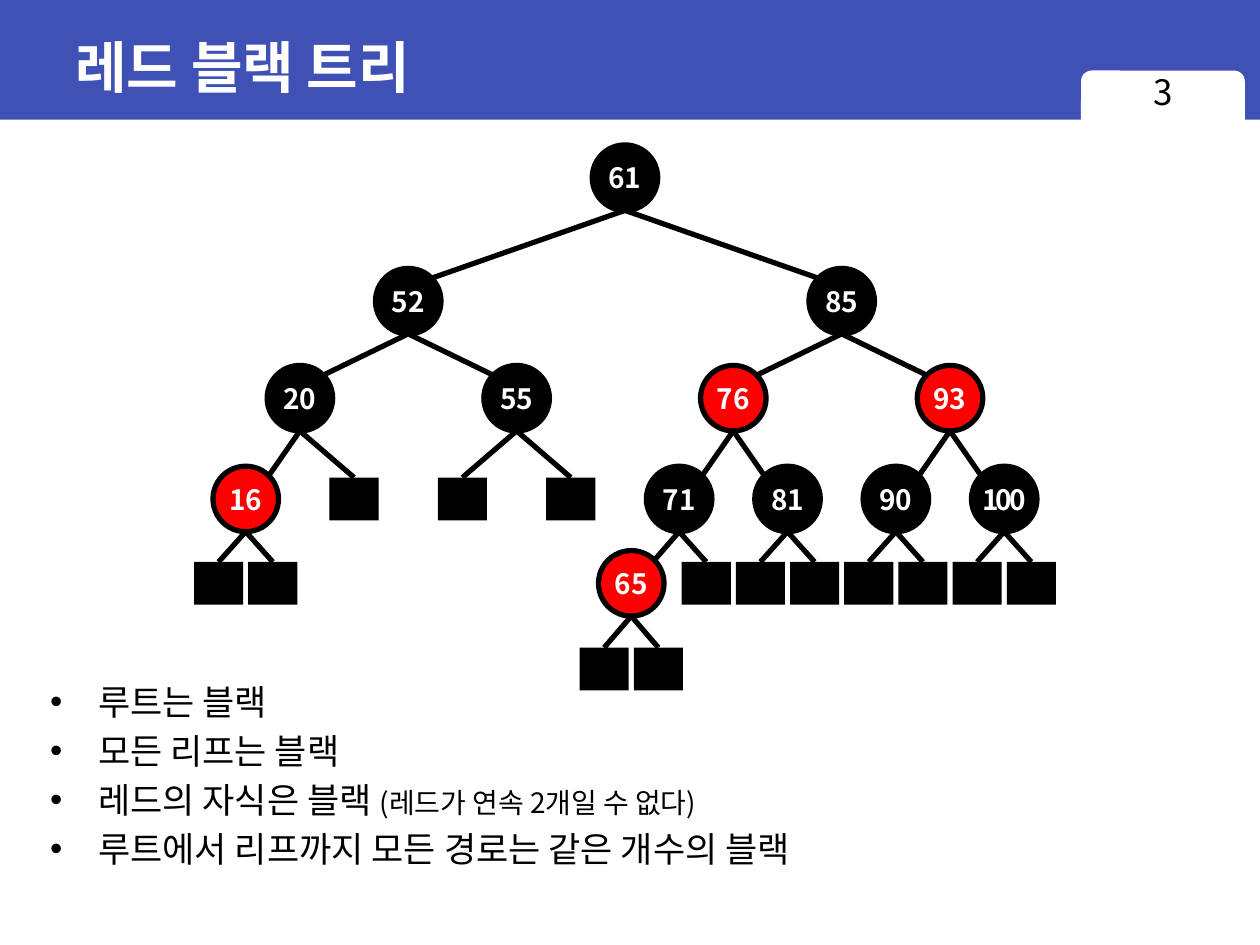
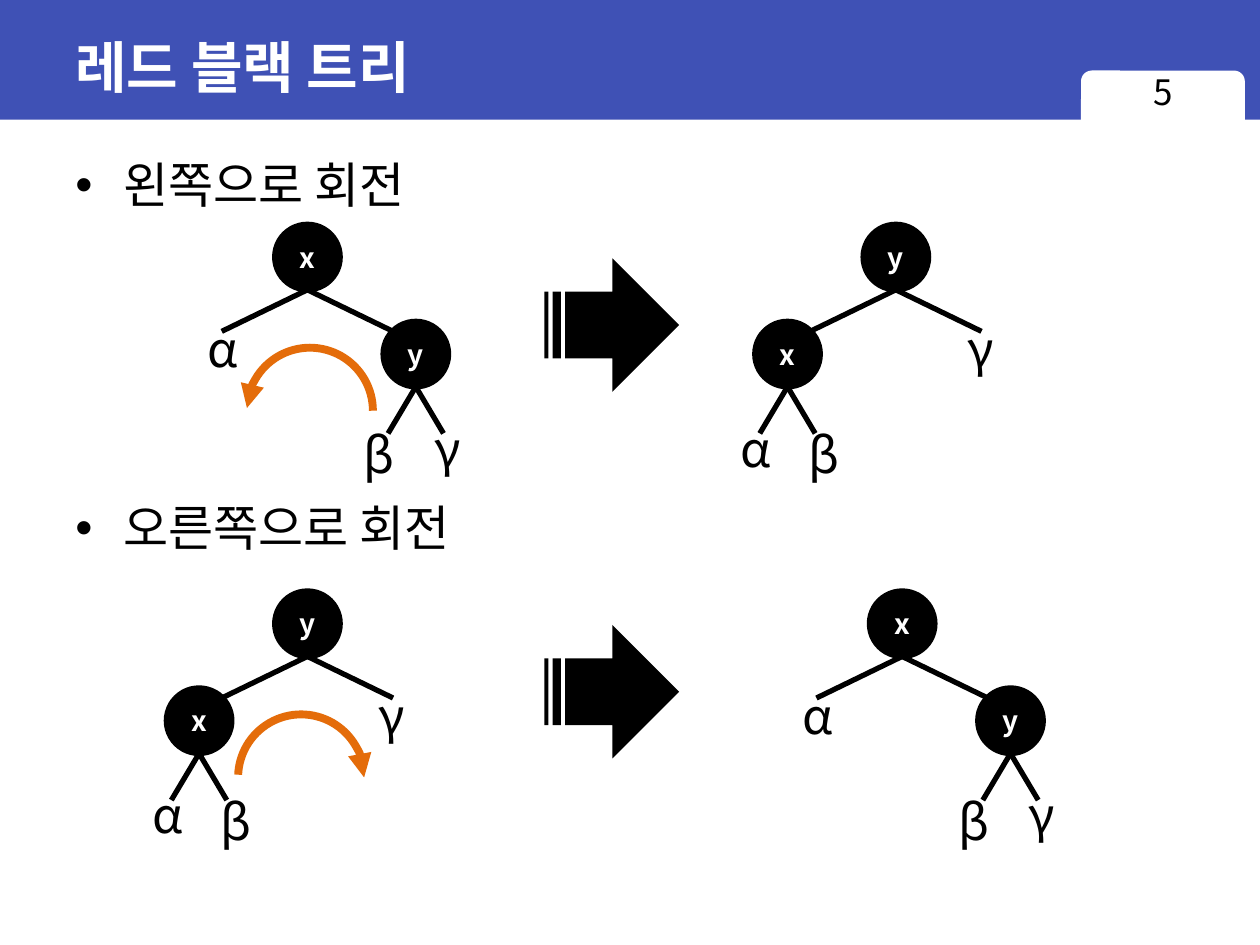
from lxml import etree
from pptx import Presentation, util as u
from pptx.dml.color import RGBColor
from pptx.enum import shapes, text
from pptx.oxml import ns

COLORS = {"band": "3F51B5", "white": "FFFFFF", "black": "000000",
          "red": "FF0000", "orange": "E46C0A"}
BODY_FONT, TITLE_FONT = "Noto Sans CJK KR", "Arial"
NODE, LEAF_WIDTH, LEAF_HEIGHT = 0.52, 0.39, 0.34
RIM = 0.18
LEVEL_Y = [0, 0.98, 1.75, 2.55, 3.22, 3.9]
LEVEL_SPREAD = [1.72, 0.86, 0.43, 0.215, 0.215]
NODE_SPREAD = 0.38


def color(name):
    """Return the named palette colour."""
    return RGBColor.from_string(COLORS[name])


def inches(*lengths):
    """Convert several lengths to inches."""
    return [u.Inches(length) for length in lengths]


def add_run(paragraph, words, size, shade="black", bold=False, font=BODY_FONT):
    """Add one formatted run and return it."""
    run = paragraph.add_run()
    run.text = words
    run.font.size = u.Pt(size)
    run.font.bold = bold
    run.font.color.rgb = color(shade)
    run.font.name = font
    properties = run.font._element
    etree.SubElement(properties, ns.qn("a:ea"), typeface=BODY_FONT)
    return run


def add_shape(slide, kind, box, fill, line=None):
    """Add a flat preset shape, outlined in three points if a line is named."""
    shape = slide.shapes.add_shape(kind, *inches(*box))
    shape.shadow.inherit = False
    shape.fill.solid()
    shape.fill.fore_color.rgb = color(fill)
    if line:
        shape.line.color.rgb = color(line)
        shape.line.width = u.Pt(3)
    else:
        shape.line.fill.background()
    return shape


def add_text_box(slide, box, wrap=True):
    """Add an empty text box and return its frame."""
    frame = slide.shapes.add_textbox(*inches(*box)).text_frame
    frame.word_wrap = wrap
    return frame


def add_edge(slide, start, end):
    """Draw a tree edge between two points."""
    line = slide.shapes.add_connector(shapes.MSO_CONNECTOR.STRAIGHT, *inches(*start, *end))
    line.line.color.rgb = color("black")
    line.line.width = u.Pt(3)
    etree.SubElement(line._element.spPr, ns.qn("a:effectLst"))


def add_node(slide, x, y, key, fill="black"):
    """Draw a round node centred on a point."""
    box = (x - NODE / 2, y - NODE / 2, NODE, NODE)
    node = add_shape(slide, shapes.MSO_SHAPE.OVAL, box, fill, "black")
    frame = node.text_frame
    frame.margin_left = frame.margin_right = 0
    frame.word_wrap = False
    frame.vertical_anchor = text.MSO_ANCHOR.MIDDLE
    paragraph = frame.paragraphs[0]
    paragraph.alignment = text.PP_ALIGN.CENTER
    run = add_run(paragraph, key, 16, "white", True)
    if len(key) > 2:
        run.font._element.set("spc", "-150")


def add_header(slide, number):
    """Draw the title band, its title and the page tab."""
    add_shape(slide, shapes.MSO_SHAPE.RECTANGLE, (0, 0, 10, 0.95), "band")
    add_shape(slide, shapes.MSO_SHAPE.ROUNDED_RECTANGLE, (8.58, 0.56, 1.3, 0.51), "white")
    title = add_text_box(slide, (0.5, 0.11, 9, 0.83))
    title.vertical_anchor = text.MSO_ANCHOR.MIDDLE
    add_run(title.paragraphs[0], "레드 블랙 트리", 32, "white", True, TITLE_FONT)
    page = add_text_box(slide, (8.58, 0.51, 1.31, 0.52)).paragraphs[0]
    page.alignment = text.PP_ALIGN.CENTER
    add_run(page, str(number), 20)


def add_bullets(slide, box, size, items, gap):
    """Write a bulleted list; each item is a list of (words, size) runs."""
    frame = add_text_box(slide, box)
    for index, item in enumerate(items):
        paragraph = frame.add_paragraph() if index else frame.paragraphs[0]
        paragraph.line_spacing = u.Pt(size * 1.2)
        paragraph.space_before = u.Pt(gap if index else 0)
        properties = paragraph._p.get_or_add_pPr()
        properties.set("marL", str(u.Inches(0.38)))
        properties.set("indent", str(-u.Inches(0.38)))
        etree.SubElement(properties, ns.qn("a:buFont"), typeface="Arial")
        etree.SubElement(properties, ns.qn("a:buChar"), char="•")
        for words, run_size in item:
            add_run(paragraph, words, run_size)


def add_tree(slide, x, top, tree, level=0):
    """Draw a red-black tree recursively; None stands for a leaf."""
    y = top + LEVEL_Y[level]
    if tree is None:
        box = (x - LEAF_WIDTH / 2, y - LEAF_HEIGHT / 2, LEAF_WIDTH, LEAF_HEIGHT)
        add_shape(slide, shapes.MSO_SHAPE.RECTANGLE, box, "black")
        return
    key, fill, *children = tree
    add_node(slide, x, y, key, fill)
    child_y = top + LEVEL_Y[level + 1]
    for side, child in zip((-1, 1), children):
        spread = LEVEL_SPREAD[level]
        end = (x + side * spread, child_y - LEAF_HEIGHT / 2)
        if child:
            spread = max(spread, NODE_SPREAD)
            end = (x + side * (spread - RIM), child_y - RIM)
        add_edge(slide, (x, y + NODE / 2), end)
        add_tree(slide, x + side * spread, top, child, level + 1)


def add_subtree_label(slide, x, y, name):
    """Write a Greek subtree name centred on x."""
    paragraph = add_text_box(slide, (x - 0.23, y, 0.46, 0.57), False).paragraphs[0]
    paragraph.alignment = text.PP_ALIGN.CENTER
    add_run(paragraph, name, 28)


def add_rotation_tree(slide, x, y, leans_right):
    """Draw the two-node tree whose lower node hangs right or left of the root."""
    side = 1 if leans_right else -1
    root, lower = ("x", "y") if leans_right else ("y", "x")
    outer, inner = ("α", "βγ") if leans_right else ("γ", "αβ")
    lower_x, lower_y = x + side * 0.86, y + 0.77
    add_node(slide, x, y, root)
    add_node(slide, lower_x, lower_y, lower)
    for direction in (-1, 1):
        add_edge(slide, (x, y + NODE / 2), (x + direction * 0.68, y + 0.59))
        add_edge(slide, (lower_x, lower_y + NODE / 2), (lower_x + direction * 0.22, lower_y + 0.63))
    add_subtree_label(slide, x - side * 0.67, y + 0.44, outer)
    for direction, name in zip((-1, 1), inner):
        shift, drop = (0.29, 0.51) if name == "β" else (0.25, 0.46)
        add_subtree_label(slide, lower_x + direction * shift, lower_y + drop, name)


def add_turn_arc(slide, left, top, end):
    """Draw the curved arrow, with its head at headEnd or tailEnd."""
    arc = slide.shapes.add_shape(shapes.MSO_SHAPE.ARC, *inches(left, top, 1, 1))
    arc.shadow.inherit = False
    arc.adjustments[0], arc.adjustments[1] = 109.46, 0
    arc.fill.background()
    arc.line.color.rgb = color("orange")
    arc.line.width = u.Pt(4.5)
    etree.SubElement(arc.line._get_or_add_ln(), ns.qn("a:" + end), type="triangle")


def add_rotation_row(slide, top, rotates_left, after_x, arc_x):
    """Draw a tree before and after one rotation, with the arrows between."""
    add_rotation_tree(slide, 2.44, top + 0.26, rotates_left)
    add_rotation_tree(slide, after_x, top + 0.26, not rotates_left)
    add_turn_arc(slide, arc_x, top + 0.98, "headEnd" if rotates_left else "tailEnd")
    add_shape(slide, shapes.MSO_SHAPE.STRIPED_RIGHT_ARROW, (4.32, top + 0.27, 1.07, 1.06), "black")


def build_properties_slide(slide):
    """Build the slide with the sample tree and its rules."""
    add_header(slide, 3)
    add_bullets(slide, (0.3, 5.35, 7.93, 1.84), 20, [
        [("루트는 블랙", 20)],
        [("모든 리프는 블랙", 20)],
        [("레드의 자식은 블랙 ", 20), ("(레드가 연속 2개일 수 없다)", 16)],
        [("루트에서 리프까지 모든 경로는 같은 개수의 블랙", 20)],
    ], 4)

    def black(key, left=None, right=None):
        """Describe a black node."""
        return key, "black", left, right

    def red(key, left=None, right=None):
        """Describe a red node."""
        return key, "red", left, right

    left_half = black("52", black("20", red("16")), black("55"))
    right_half = black("85", red("76", black("71", red("65")), black("81")),
                       red("93", black("90"), black("100")))
    add_tree(slide, 4.96, 1.41, black("61", left_half, right_half))


def build_rotation_slide(slide):
    """Build the slide with the left and right rotations."""
    add_header(slide, 5)
    add_bullets(slide, (0.5, 1.18, 9.38, 6.14), 28,
                [[("왼쪽으로 회전", 28)], [("오른쪽으로 회전", 28)]], 162.4)
    add_rotation_row(slide, 1.78, True, 7.11, 1.96)
    add_rotation_row(slide, 4.69, False, 7.16, 1.89)


def main():
    """Build and save the presentation."""
    presentation = Presentation()
    presentation.slide_width, presentation.slide_height = inches(10, 7.5)
    for build in (build_properties_slide, build_rotation_slide):
        build(presentation.slides.add_slide(presentation.slide_layouts[6]))
    presentation.save("out.pptx")


if __name__ == "__main__":
    main()
